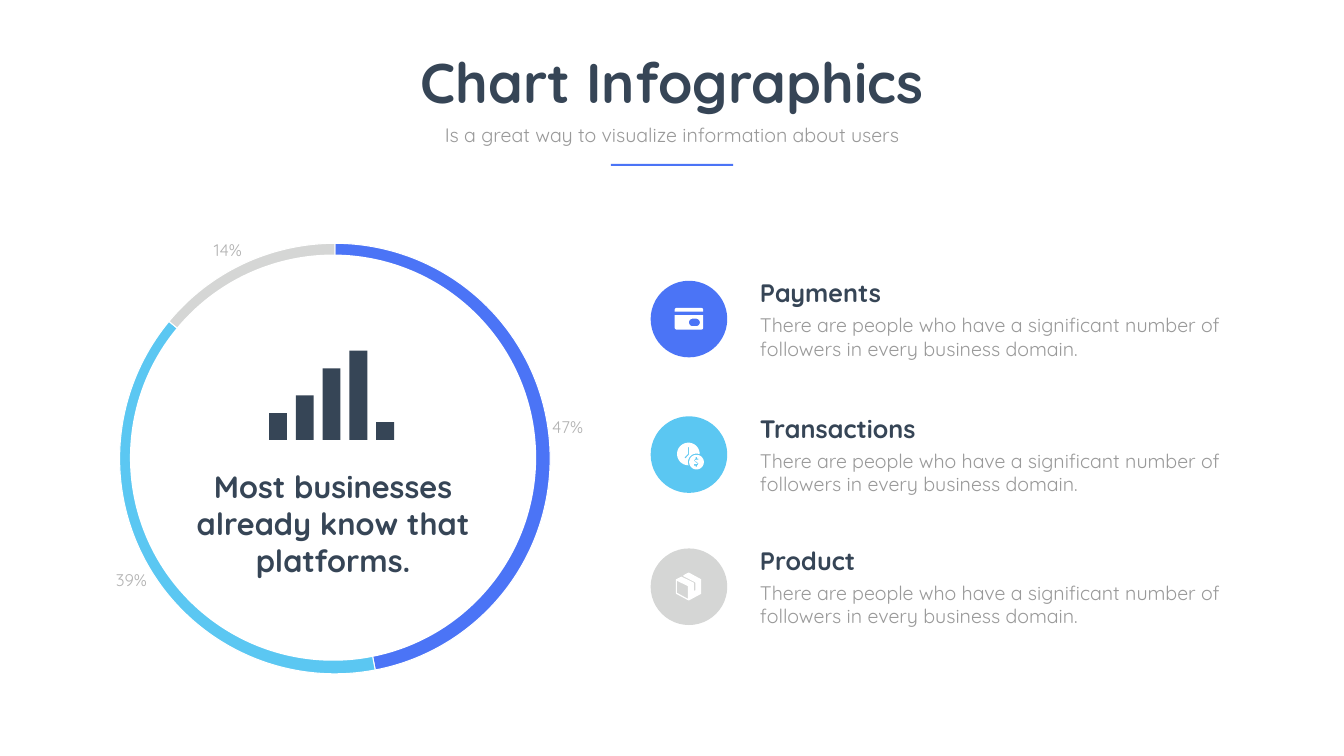
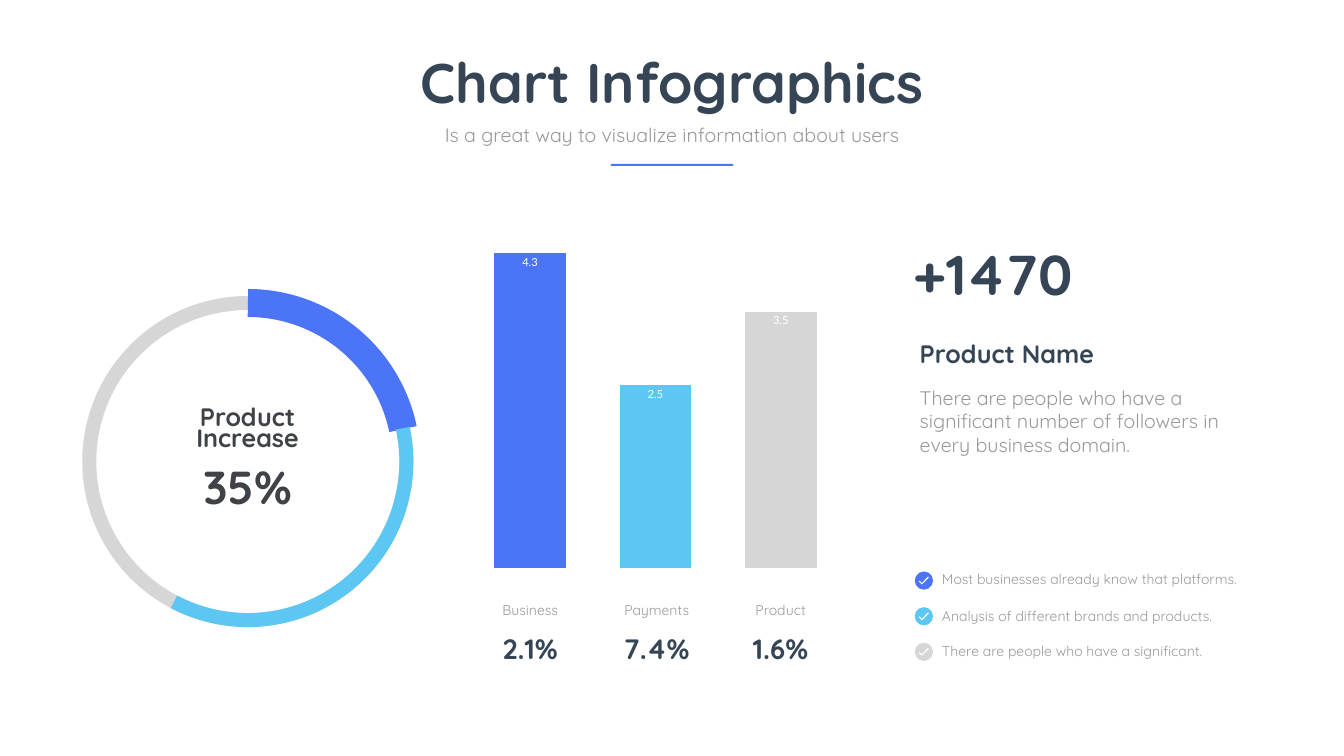
import math
from dataclasses import dataclass

import lxml.etree
import pptx
import pptx.chart.data
import pptx.dml.color
import pptx.enum.chart
import pptx.enum.shapes
import pptx.enum.text
import pptx.util

Cm = pptx.util.Cm
Pt = pptx.util.Pt
Shape = pptx.enum.shapes.MSO_SHAPE
Align = pptx.enum.text.PP_ALIGN
Kind = pptx.enum.chart.XL_CHART_TYPE
Spot = pptx.enum.chart.XL_LABEL_POSITION

COLORS = {
    "blue": "4B74F6", "sky": "5BC7F2", "grey": "D5D6D5", "white": "FFFFFF",
    "navy": "364556", "coal": "3F4347", "text": "999999", "label": "B2B2B2",
}
TRIO = ["blue", "sky", "grey"]
FONT = "Quicksand"
BLURB = ("There are people who have a significant number of "
         "followers in every business domain.")

Box = tuple[float, float, float, float]  # left, top, width, height in cm
Dots = list[tuple[float, float]]


@dataclass
class Style:
    size: int
    color: str = "text"
    bold: bool = False
    center: bool = False
    middle: bool = False
    lead: float | None = None


@dataclass
class Topic:
    top: float
    color: str
    head: str
    icon: list[list[Dots]]


@dataclass
class Check:
    top: float
    drop: float
    color: str
    text: str


@dataclass
class Stat:
    mid: float
    name: str
    rate: str


@dataclass
class Arc:
    start: float
    end: float
    width: int
    color: str


def rgb(name: str) -> pptx.dml.color.RGBColor:
    return pptx.dml.color.RGBColor.from_string(COLORS[name])


def paint(shape, color: str) -> None:
    """Flat fill with neither outline nor shadow."""
    shape.shadow.inherit = False
    shape.fill.solid()
    shape.fill.fore_color.rgb = rgb(color)
    shape.line.fill.background()


def solid(slide, kind, box: Box, color: str) -> None:
    paint(slide.shapes.add_shape(kind, *map(Cm, box)), color)


def write(slide, box: Box, text: str, style: Style) -> None:
    frame = slide.shapes.add_textbox(*map(Cm, box)).text_frame
    frame.word_wrap = True
    frame.auto_size = pptx.enum.text.MSO_AUTO_SIZE.SHAPE_TO_FIT_TEXT
    if style.middle:
        frame.vertical_anchor = pptx.enum.text.MSO_ANCHOR.MIDDLE
        frame.margin_left = frame.margin_right = Cm(0.15)
        frame.margin_top = frame.margin_bottom = Cm(0.15)
    para = frame.paragraphs[0]
    para.alignment = Align.CENTER if style.center else Align.LEFT
    if style.lead:
        para.line_spacing = style.lead
    run = para.add_run()
    run.text = text
    run.font.name = FONT
    run.font.size = Pt(style.size)
    run.font.bold = style.bold
    run.font.color.rgb = rgb(style.color)


def curve(x: float, y: float, r: float, start: float, end: float) -> Dots:
    """Points along a circle, angles in degrees clockwise from the right."""
    count = max(4, round(abs(end - start) / 8))
    turns = [math.radians(start + (end - start) * i / count)
             for i in range(count + 1)]
    return [(x + r * math.cos(t), y + r * math.sin(t)) for t in turns]


def trace(slide, x: float, y: float, loops: list[Dots], color: str) -> None:
    """Draw closed outlines around the point x, y; inner ones are holes."""
    spots = [[(Cm(x + dx), Cm(y + dy)) for dx, dy in loop] for loop in loops]
    pen = slide.shapes.build_freeform(*spots[0][0])
    for i, loop in enumerate(spots):
        if i:
            pen.move_to(*loop[0])
        pen.add_line_segments(loop[1:], close=True)
    paint(pen.convert_to_shape(), color)


def graph(slide, kind, box: Box, vals: list[float], font: str):
    """Add a one-series chart whose points take the three theme colours."""
    data = pptx.chart.data.CategoryChartData()
    data.categories = ["1", "2", "3"]
    data.add_series("Series 1", vals)
    chart = slide.shapes.add_chart(kind, *map(Cm, box), data).chart
    chart.has_legend = chart.has_title = False
    chart.font.name = font
    chart.font.size = Pt(16)
    chart.font.color.rgb = rgb("text")
    plot = chart.plots[0]
    plot.vary_by_categories = False
    for i, color in enumerate(TRIO):
        fill = plot.series[0].points[i].format.fill
        fill.solid()
        fill.fore_color.rgb = rgb(color)
    return chart


def label(plot, spot, font: str, size: int, color: str):
    plot.has_data_labels = True
    tags = plot.data_labels
    tags.position = spot
    tags.font.name = font
    tags.font.size = Pt(size)
    tags.font.color.rgb = rgb(color)
    return tags


def place(chart, x: float, y: float, w: float, h: float) -> None:
    """Fix the inner plot area, as shares of the chart."""
    area = next(chart.element.iter("{*}plotArea"))
    space = "{" + lxml.etree.QName(area).namespace + "}"
    for old in area.findall(space + "layout"):
        area.remove(old)
    layout = lxml.etree.Element(space + "layout")
    area.insert(0, layout)
    manual = lxml.etree.SubElement(layout, space + "manualLayout")
    pairs = [("layoutTarget", "inner"), ("xMode", "edge"), ("yMode", "edge"),
             ("x", x), ("y", y), ("w", w), ("h", h)]
    for tag, val in pairs:
        lxml.etree.SubElement(manual, space + tag, val=str(val))


def header(slide) -> None:
    write(slide, (17.48, 2.29, 32.79, 3.68), "Chart Infographics",
          Style(80, "navy", True, True))
    write(slide, (21.72, 6.05, 24.28, 1.45),
          "Is a great way to visualize information about users",
          Style(28, center=True))
    solid(slide, Shape.RECTANGLE, (30.78, 8.26, 6.17, 0.1), "blue")


# Icon outlines, in cm from the centre of their disc.
CARD = [
    [curve(-0.62, -0.46, 0.1, 180, 270) + curve(0.62, -0.46, 0.1, 270, 360)
     + [(0.72, -0.37), (-0.72, -0.37)]],
    [curve(0.62, 0.43, 0.1, 0, 90) + curve(-0.62, 0.43, 0.1, 90, 180)
     + [(-0.72, -0.2), (0.72, -0.2)],
     curve(0.19, 0.17, 0.19, 270, 90) + curve(0.36, 0.17, 0.19, 90, -90)],
]
CLOCK = [
    [curve(-0.03, -0.03, 0.57, 92, 357) + curve(0.38, 0.38, 0.43, 290, 157),
     [(-0.05, -0.38), (0, -0.38), (0, 0), (-0.18, 0.2), (-0.23, 0.15),
      (-0.05, -0.03)]],
    [curve(0.38, 0.38, 0.37, 0, 360),
     [(0.36, 0.36), (0.38, 0.36), (0.48, 0.46), (0.41, 0.56), (0.41, 0.61),
      (0.33, 0.61), (0.33, 0.56), (0.25, 0.56), (0.25, 0.48), (0.38, 0.48),
      (0.43, 0.46), (0.38, 0.41), (0.36, 0.41), (0.25, 0.3), (0.33, 0.2),
      (0.33, 0.13), (0.41, 0.13), (0.41, 0.2), (0.48, 0.2), (0.48, 0.25),
      (0.36, 0.25), (0.3, 0.3)]],
]
PARCEL = [
    [[(0.61, -0.38), (0, -0.71), (-0.03, -0.71), (-0.28, -0.58),
      (-0.28, -0.53), (0.3, -0.23), (0.33, -0.2), (0.33, 0.18), (0.3, 0.2),
      (0.25, 0.18), (0.25, -0.2), (-0.38, -0.51), (-0.64, -0.38),
      (-0.66, -0.36), (-0.66, 0.33), (-0.64, 0.36), (-0.03, 0.69), (0, 0.69),
      (0.61, 0.36)],
     [(-0.05, 0.61), (-0.61, 0.3), (-0.61, -0.3), (-0.05, -0.03)]],
]
TICK = [[(-0.1, 0.13), (-0.23, 0), (-0.25, 0.05), (-0.1, 0.2), (0.25, -0.15),
         (0.2, -0.2)]]

TOPICS = [
    Topic(14.15, "blue", "Payments", CARD),
    Topic(20.98, "sky", "Transactions", CLOCK),
    Topic(27.64, "grey", "Product", PARCEL),
]
ARCS = [
    Arc(270.17, 270.06, 20, "grey"),
    Arc(270.04, 348.19, 40, "blue"),
    Arc(347.87, 117.74, 20, "sky"),
]
STATS = [
    Stat(26.72, "Business", "2.1%"),
    Stat(33.1, "Payments", "7.4%"),
    Stat(39.34, "Product", "1.6%"),
]
CHECKS = [
    Check(28.8, 28.63, "blue", "Most businesses already know that platforms."),
    Check(30.6, 30.51, "sky", "Analysis of different brands and products."),
    Check(32.39, 32.28, "grey", "There are people who have a significant."),
]


def shares(slide) -> None:
    chart = graph(slide, Kind.PIE, (2.97, 9.25, 48.46, 27.64), [47, 39, 14],
                  "Calibri")
    place(chart, 0.063, 0.109, 0.448, 0.785)
    plot = chart.plots[0]
    for i in range(len(TRIO)):
        line = plot.series[0].points[i].format.line
        line.color.rgb = rgb("white")
        line.width = Pt(1.5)
    tags = label(plot, Spot.OUTSIDE_END, FONT, 24, "label")
    tags.show_value = False
    tags.show_percentage = True
    tags.number_format = "#,##0%"
    tags.number_format_is_linked = False
    solid(slide, Shape.OVAL, (6.55, 12.83, 20.47, 20.47), "white")
    for i, tall in enumerate([1.35, 2.24, 3.6, 4.5, 0.9]):
        solid(slide, Shape.RECTANGLE,
              (13.56 + 1.35 * i, 22.17 - tall, 0.9, tall), "navy")
    write(slide, (8.66, 23.44, 16.26, 5.89),
          "Most businesses already know that platforms.",
          Style(44, "navy", True, True))


def topics(slide) -> None:
    left, size = 32.79, 3.86
    for item in TOPICS:
        solid(slide, Shape.OVAL, (left, item.top, size, size), item.color)
        for loops in item.icon:
            trace(slide, left + size / 2, item.top + size / 2, loops, "white")
        write(slide, (38.05, item.top + 1.5, 25.5, 2.64), BLURB, Style(28))
        write(slide, (38.05, item.top - 0.28, 19.69, 1.8), item.head,
              Style(36, "navy", True))


def gauge(slide) -> None:
    for arc in ARCS:
        shape = slide.shapes.add_shape(
            Shape.ARC, Cm(4.5), Cm(15.27), Cm(15.98), Cm(15.98))
        shape.shadow.inherit = False
        shape.fill.background()
        # One degree is 60000 units; adjustments count in 100000.
        shape.adjustments[0] = arc.start * 0.6
        shape.adjustments[1] = arc.end * 0.6
        shape.line.width = Pt(arc.width)
        shape.line.color.rgb = rgb(arc.color)
    write(slide, (8.74, 20.5, 7.47, 2.44), "Product Increase",
          Style(36, "coal", True, True, True, 0.7))
    write(slide, (8.74, 22.94, 7.47, 3.1), "35%",
          Style(66, "coal", True, True, True))


def columns(slide) -> None:
    chart = graph(slide, Kind.COLUMN_CLUSTERED, (23.16, 9.8, 19.74, 19.23),
                  [4.3, 2.5, 3.5], "Lato")
    chart.plots[0].gap_width = 75
    label(chart.plots[0], Spot.INSIDE_END, "Lato", 16, "white").show_value = True
    axis = chart.value_axis
    axis.minimum_scale, axis.maximum_scale = 0, 5
    axis.has_major_gridlines = False
    axis.visible = chart.category_axis.visible = False
    for stat in STATS:
        write(slide, (stat.mid - 3.28, 31.7, 6.55, 1.96), stat.rate,
              Style(40, "navy", True, True))
        write(slide, (stat.mid - 1.98, 30.18, 3.96, 1.12), stat.name,
              Style(20, center=True))


def summary(slide) -> None:
    write(slide, (45.9, 11.91, 16, 3.71), "+1470",
          Style(80, "navy", True, middle=True))
    write(slide, (46.1, 19.3, 16, 3.84), BLURB, Style(28))
    write(slide, (46.1, 16.94, 16, 1.8), "Product Name",
          Style(36, "navy", True))
    for item in CHECKS:
        solid(slide, Shape.OVAL, (46.1, item.top, 0.92, 0.92), item.color)
        trace(slide, 46.56, item.top + 0.46, TICK, "white")
        write(slide, (47.22, item.drop, 16.05, 1.12), item.text, Style(20))


def main() -> None:
    deck = pptx.Presentation()
    deck.slide_width, deck.slide_height = Cm(67.73), Cm(38.1)
    for parts in [(shares, topics), (gauge, columns, summary)]:
        slide = deck.slides.add_slide(deck.slide_layouts[6])
        for part in parts:
            part(slide)
        header(slide)
    deck.save("out.pptx")


if __name__ == "__main__":
    main()
